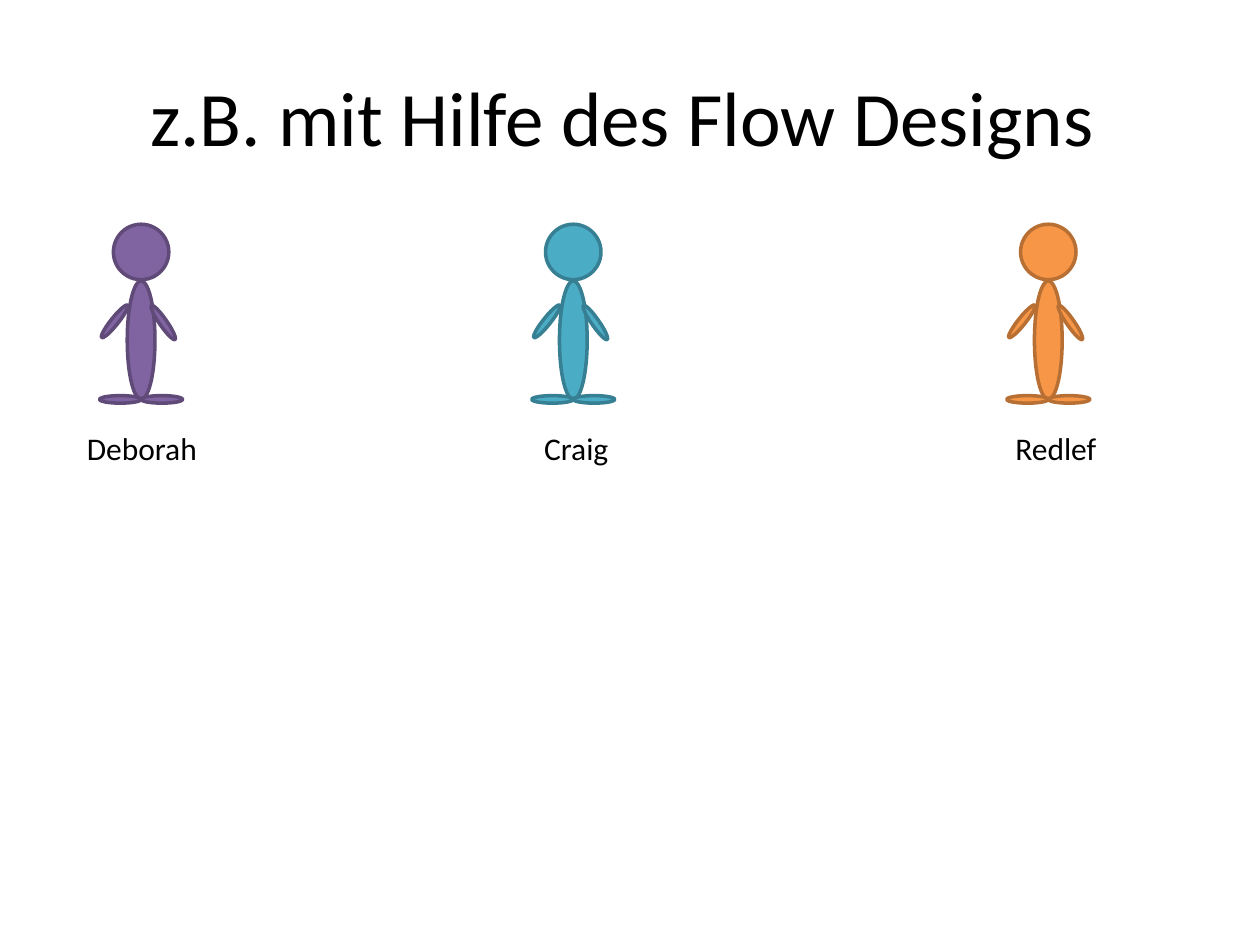
from pptx import Presentation
from pptx import util as u
from pptx.dml.color import RGBColor
from pptx.enum import shapes, text

COLUMNS, ROWS = 100, 75

BODY_PARTS = [
    (-2.2, 17.8, 4.4, 4.4, 0),
    (-1.1, 22.3, 2.2, 9.4, 0),
    (0, 31.4, 3.3, 0.6, 0),
    (-3.3, 31.4, 3.3, 0.6, 0),
    (-3.75, 25.2, 3.3, 0.6, 128.6),
    (0.1, 25.3, 3.3, 0.6, 55.2),
]

PEOPLE = [
    ("Craig", 45.5, "4BACC6", "377F92", 42.2, 7.2),
    ("Deborah", 11.2, "8064A2", "5F4A78", 5.9, 10.9),
    ("Redlef", 83.2, "F79646", "B76F34", 79.6, 8.5),
]


def color(value):
    return RGBColor.from_string(value)


class SlideBuilder:
    font = "Calibri"
    ink = "000000"
    outline = 2

    def __init__(self, prs):
        self.column = prs.slide_width / COLUMNS
        self.row = prs.slide_height / ROWS
        self.s = prs.slides.add_slide(prs.slide_layouts[6])

    def box(self, left, top, width, height):
        return (round(left * self.column), round(top * self.row),
                round(width * self.column), round(height * self.row))

    def label(self, words, place, size, wrap=False,
              align=text.PP_ALIGN.LEFT, anchor=text.MSO_ANCHOR.TOP):
        tf = self.s.shapes.add_textbox(*self.box(*place)).text_frame
        tf.word_wrap = wrap
        tf.auto_size = (text.MSO_AUTO_SIZE.NONE if wrap
                        else text.MSO_AUTO_SIZE.SHAPE_TO_FIT_TEXT)
        tf.vertical_anchor = anchor
        p = tf.paragraphs[0]
        p.alignment = align
        r = p.add_run()
        r.text = words
        r.font.name = self.font
        r.font.size = u.Pt(size)
        r.font.color.rgb = color(self.ink)

    def figure(self, center, fill, line):
        group = self.s.shapes.add_group_shape()
        for dx, top, width, height, angle in BODY_PARTS:
            sp = group.shapes.add_shape(
                shapes.MSO_SHAPE.OVAL,
                *self.box(center + dx, top, width, height))
            sp.rotation = angle
            sp.shadow.inherit = False
            sp.fill.solid()
            sp.fill.fore_color.rgb = color(fill)
            sp.line.color.rgb = color(line)
            sp.line.width = u.Pt(self.outline)


def main():
    prs = Presentation()
    prs.slide_width, prs.slide_height = u.Inches(10), u.Inches(7.5)
    slide = SlideBuilder(prs)
    slide.label("z.B. mit Hilfe des Flow Designs", (4.4, 2.9, 90, 12.5), 44,
                wrap=True, align=text.PP_ALIGN.CENTER,
                anchor=text.MSO_ANCHOR.MIDDLE)
    for _, center, fill, line, _, _ in PEOPLE:
        slide.figure(center, fill, line)
    for name, _, _, _, left, width in reversed(PEOPLE):
        slide.label(name, (left, 33.6, width, 4), 18)
    prs.save("out.pptx")


if __name__ == "__main__":
    main()
